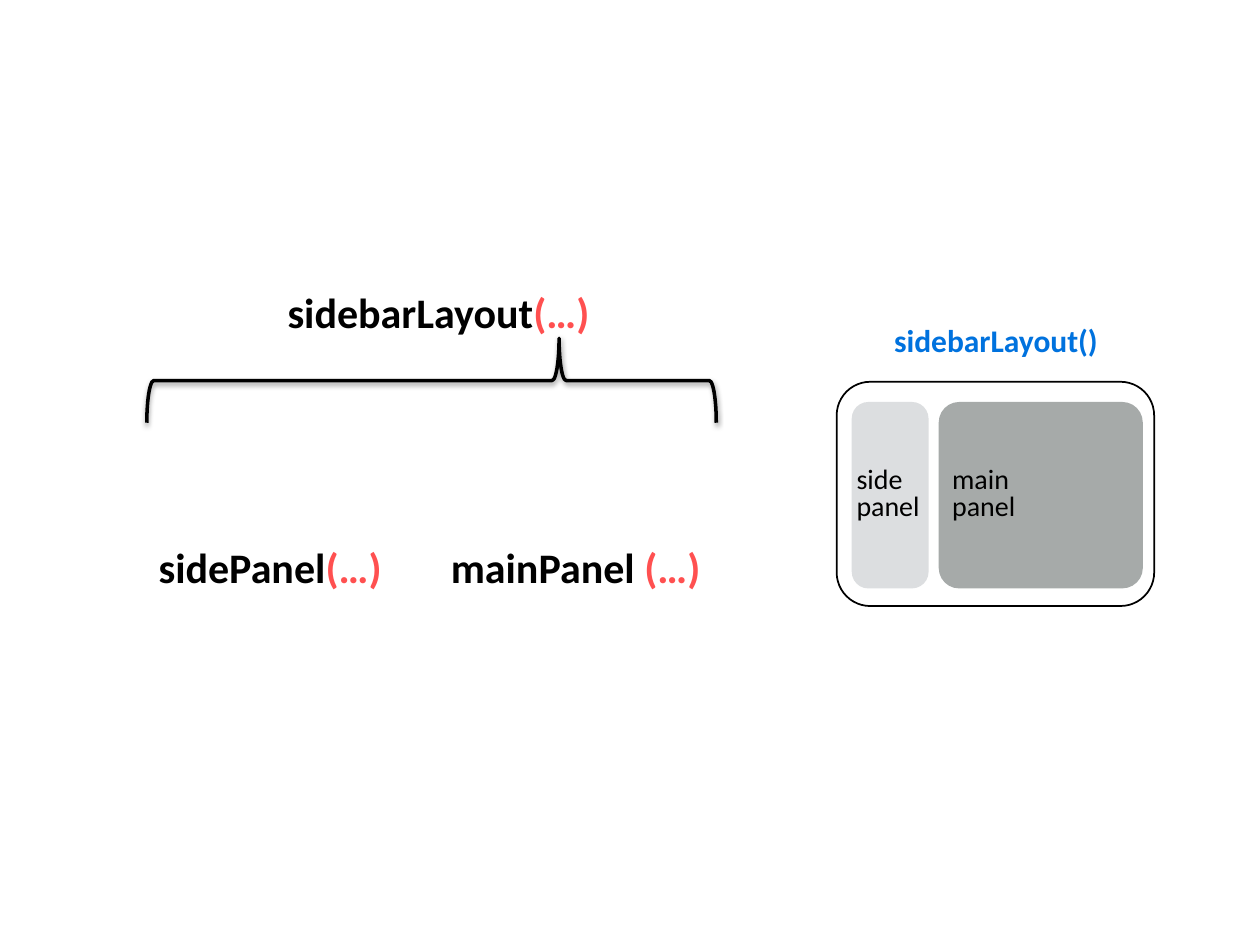
from lxml import etree
from pptx import Presentation
from pptx.dml.color import RGBColor
from pptx.enum.shapes import MSO_SHAPE
from pptx.enum.text import MSO_ANCHOR, MSO_AUTO_SIZE, PP_ALIGN
from pptx.oxml.ns import qn
from pptx.util import Inches, Pt

ROUNDED = MSO_SHAPE.ROUNDED_RECTANGLE
BRACE = MSO_SHAPE.RIGHT_BRACE
MIDDLE, TOP = MSO_ANCHOR.MIDDLE, MSO_ANCHOR.TOP
LEFT, CENTER = PP_ALIGN.LEFT, PP_ALIGN.CENTER
FIT_SHAPE = MSO_AUTO_SIZE.SHAPE_TO_FIT_TEXT

COLORS = {
    "black": "000000",
    "white": "FFFFFF",
    "side": "DCDEE0",
    "main": "A6AAA9",
    "blue": "0072DE",
    "red": "FF5050",
}


def color(name):
    return RGBColor.from_string(COLORS[name])


def write_text(shape, paragraphs, size=24, bold=True, align=LEFT, anchor=TOP,
               inset=(0.1, 0.05), spacing=None, wrap=False):
    """Each paragraph is a list of (text, color name) runs."""
    frame = shape.text_frame
    frame.word_wrap = wrap
    if not wrap:
        frame.auto_size = FIT_SHAPE
    frame.vertical_anchor = anchor
    frame.margin_left = frame.margin_right = Inches(inset[0])
    frame.margin_top = frame.margin_bottom = Inches(inset[1])
    for index, runs in enumerate(paragraphs):
        paragraph = frame.add_paragraph() if index else frame.paragraphs[0]
        paragraph.alignment = align
        if spacing:
            paragraph.line_spacing = spacing
        for text, color_name in runs:
            run = paragraph.add_run()
            run.text = text
            run.font.name = "Calibri"
            run.font.size = Pt(size)
            run.font.bold = bold
            run.font.color.rgb = color(color_name)


presentation = Presentation()
presentation.slide_width = Inches(10)
presentation.slide_height = Inches(7.5)
slide = presentation.slides.add_slide(presentation.slide_layouts[6])

# Layout diagram: frame, two panels and caption
diagram = slide.shapes.add_group_shape()
frame_shape = diagram.shapes.add_shape(
    ROUNDED, Inches(6.64), Inches(3.03), Inches(2.52), Inches(1.78))
frame_shape.shadow.inherit = False
frame_shape.adjustments[0] = 0.15
frame_shape.fill.solid()
frame_shape.fill.fore_color.rgb = color("white")
frame_shape.line.color.rgb = color("black")
frame_shape.line.width = Pt(1)

panels = [("side", 6.76, 0.61, 0.215, 0), ("main", 7.45, 1.62, 0.11, 0.06)]
for name, left, width, rounding, inset in panels:
    panel = diagram.shapes.add_shape(
        ROUNDED, Inches(left), Inches(3.19), Inches(width), Inches(1.48))
    panel.shadow.inherit = False
    panel.adjustments[0] = rounding
    panel.fill.solid()
    panel.fill.fore_color.rgb = color(name)
    panel.line.fill.background()
    write_text(panel, [[(name, "black")], [("panel", "black")]], size=16, bold=False,
               anchor=MIDDLE, inset=(inset, inset), spacing=0.8, wrap=True)

caption = diagram.shapes.add_textbox(
    Inches(7.03), Inches(2.49), Inches(1.75), Inches(0.42))
write_text(caption, [[("sidebarLayout()", "blue")]], size=18, align=CENTER,
           anchor=MIDDLE, inset=(0.06, 0.06))

# Brace, turned to point up at the parent call
brace = slide.shapes.add_shape(
    BRACE, Inches(3.09), Inches(0.76), Inches(0.67), Inches(4.52))
brace.rotation = 270
brace.adjustments[0] = 0.083
brace.adjustments[1] = 0.724
brace.fill.background()
brace.line.color.rgb = color("black")
brace.line.width = Pt(2)

# Soft shadow below the brace
brace.shadow.inherit = False
effects = brace._element.spPr.find(qn("a:effectLst"))
shadow = etree.SubElement(effects, qn("a:outerShdw"), blurRad=str(Pt(3.1)),
                          dist=str(Pt(1.6)), dir="5400000", rotWithShape="0")
shadow_color = etree.SubElement(shadow, qn("a:srgbClr"), val=COLORS["black"])
etree.SubElement(shadow_color, qn("a:alpha"), val="38000")

# Function calls: the parent above the brace, its arguments below
calls = [
    ("sidebarLayout", 2.21, 2.21, 2.54, 0.52,
     {"align": CENTER, "anchor": MIDDLE, "inset": (0.06, 0.06)}),
    ("sidePanel", 1.16, 4.25, 1.99, 0.5, {}),
    ("mainPanel ", 3.48, 4.25, 2.2, 0.5, {}),
]
for name, left, top, width, height, text_format in calls:
    call = slide.shapes.add_textbox(
        Inches(left), Inches(top), Inches(width), Inches(height))
    write_text(call, [[(name, "black"), ("(…)", "red")]], **text_format)

presentation.save("out.pptx")
